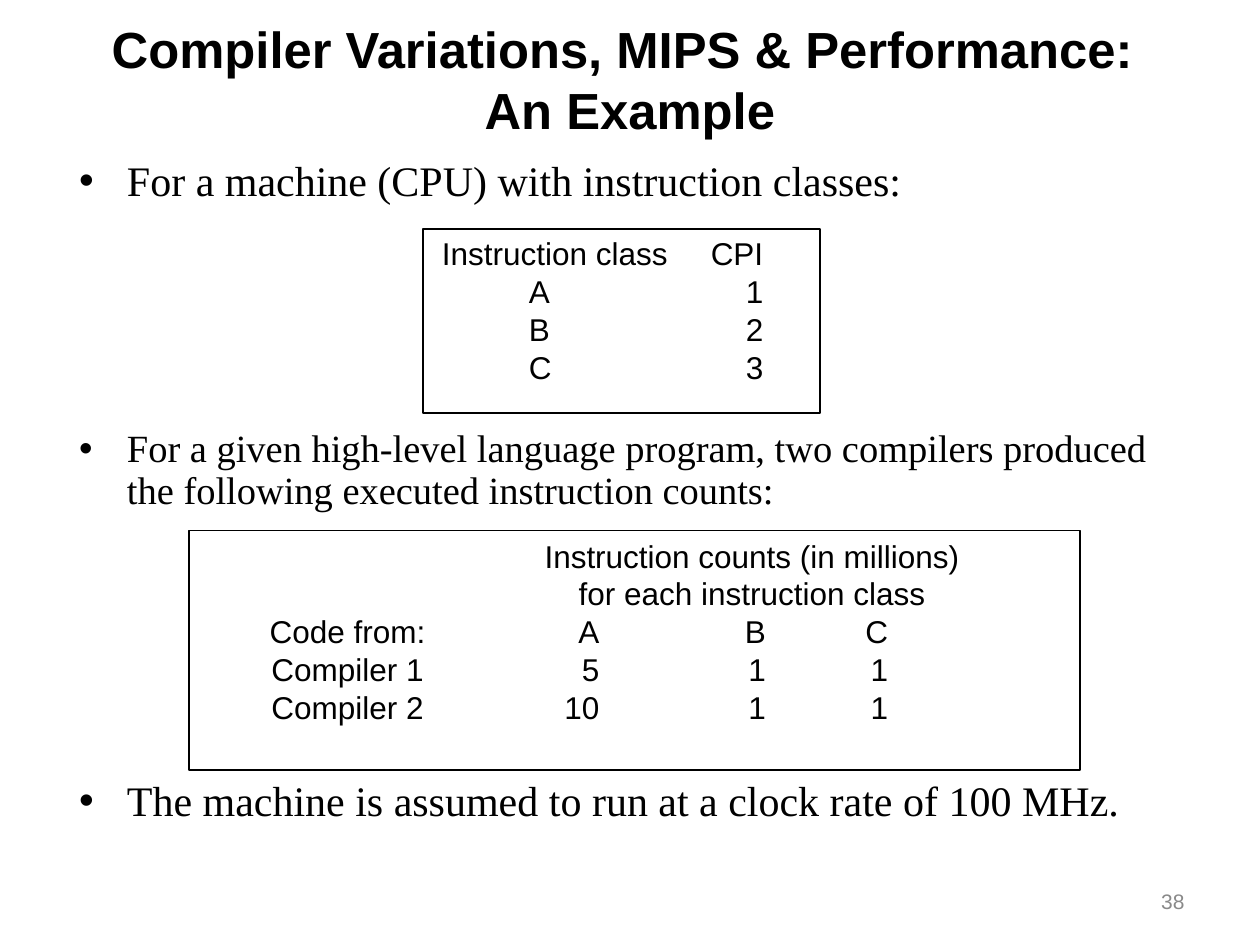
"""Build the slide on compiler variations, MIPS and performance."""
import lxml.etree
import pptx
import pptx.dml.color
import pptx.enum.shapes
import pptx.enum.text
import pptx.oxml.ns
import pptx.util

Inches = pptx.util.Inches
Pt = pptx.util.Pt
Align = pptx.enum.text.PP_ALIGN
Anchor = pptx.enum.text.MSO_ANCHOR
BLACK = pptx.dml.color.RGBColor(0x00, 0x00, 0x00)
GRAY = pptx.dml.color.RGBColor(0x89, 0x89, 0x89)
qn = pptx.oxml.ns.qn


def add_text_frame(left, top, width, height, anchor=Anchor.TOP):
    box = slide.shapes.add_textbox(Inches(left), Inches(top), Inches(width), Inches(height))
    box.text_frame.word_wrap = True
    box.text_frame.vertical_anchor = anchor
    return box.text_frame


def add_run(paragraph, text, size, font="Arial", color=BLACK, bold=False):
    run = paragraph.add_run()
    run.text = text
    run.font.name = font
    run.font.size = Pt(size)
    run.font.bold = bold
    run.font.color.rgb = color


presentation = pptx.Presentation()
presentation.slide_width = Inches(10)
presentation.slide_height = Inches(7.5)
slide = presentation.slides.add_slide(presentation.slide_layouts[6])

title = add_text_frame(0.5, 0, 9, 1.25, Anchor.MIDDLE).paragraphs[0]
title.alignment = Align.CENTER
add_run(title, "Compiler Variations, MIPS & Performance: ", 29, bold=True)
title.add_line_break()
add_run(title, "An Example", 29, bold=True)

bullets = [
    ("For a machine (CPU) with instruction classes:", 24, 0),
    ("For a given high-level language program, two compilers produced "
     "the following executed instruction counts:", 22, 128),
    ("The machine is assumed to run at a clock rate of 100 MHz.", 24, 153),
]
body = add_text_frame(0.53, 1.22, 9, 5.5)
for index, (text, size, space_before) in enumerate(bullets):
    paragraph = body.add_paragraph() if index else body.paragraphs[0]
    properties = paragraph._p.get_or_add_pPr()
    properties.set("marL", str(Inches(0.38)))
    properties.set("indent", str(-Inches(0.38)))
    lxml.etree.SubElement(properties, qn("a:buFont"), typeface="Arial")
    lxml.etree.SubElement(properties, qn("a:buChar"), char="•")
    paragraph.line_spacing = 0.9
    paragraph.space_before = Pt(space_before)
    add_run(paragraph, text, size, "Times New Roman")

class_tabs = [(0.69, "l"), (2.55, "r")]
heading_tabs = [(3.94, "ctr")]
count_tabs = [(0.73, "ctr"), (2.73, "r"), (4.05, "r"), (5.02, "r")]
panels = [
    ((3.41, 1.81, 2.83, 1.3), (3.36, 1.82, 3.15, 1.46), [
        ("Instruction class\tCPI", class_tabs[1:]),
        ("\tA\t1", class_tabs),
        ("\tB\t2", class_tabs),
        ("\tC\t3", class_tabs),
    ]),
    ((1.93, 4.21, 5.86, 1.6), (1.5, 4.21, 7.07, 1.9), [
        ("\tInstruction counts (in millions)", heading_tabs),
        ("\tfor each instruction class", heading_tabs),
        ("\tCode from:\tA\tB\tC", count_tabs),
        ("\tCompiler 1\t5\t1\t1", count_tabs),
        ("\tCompiler 2\t10\t1\t1", count_tabs),
    ]),
]
for text_area, frame_area, rows in panels:
    text_frame = add_text_frame(*text_area)
    for index, (text, tabs) in enumerate(rows):
        paragraph = text_frame.add_paragraph() if index else text_frame.paragraphs[0]
        tab_list = lxml.etree.SubElement(paragraph._p.get_or_add_pPr(), qn("a:tabLst"))
        for position, alignment in tabs:
            lxml.etree.SubElement(tab_list, qn("a:tab"), pos=str(Inches(position)), algn=alignment)
        add_run(paragraph, text, 18)
    frame = slide.shapes.add_shape(
        pptx.enum.shapes.MSO_SHAPE.RECTANGLE, *[Inches(length) for length in frame_area])
    frame.shadow.inherit = False
    frame.fill.background()
    frame.line.color.rgb = BLACK
    frame.line.width = Pt(1)

page_number = add_text_frame(7.17, 6.95, 2.33, 0.4, Anchor.MIDDLE).paragraphs[0]
page_number.alignment = Align.RIGHT
add_run(page_number, "38", 12, color=GRAY)

presentation.save("out.pptx")
